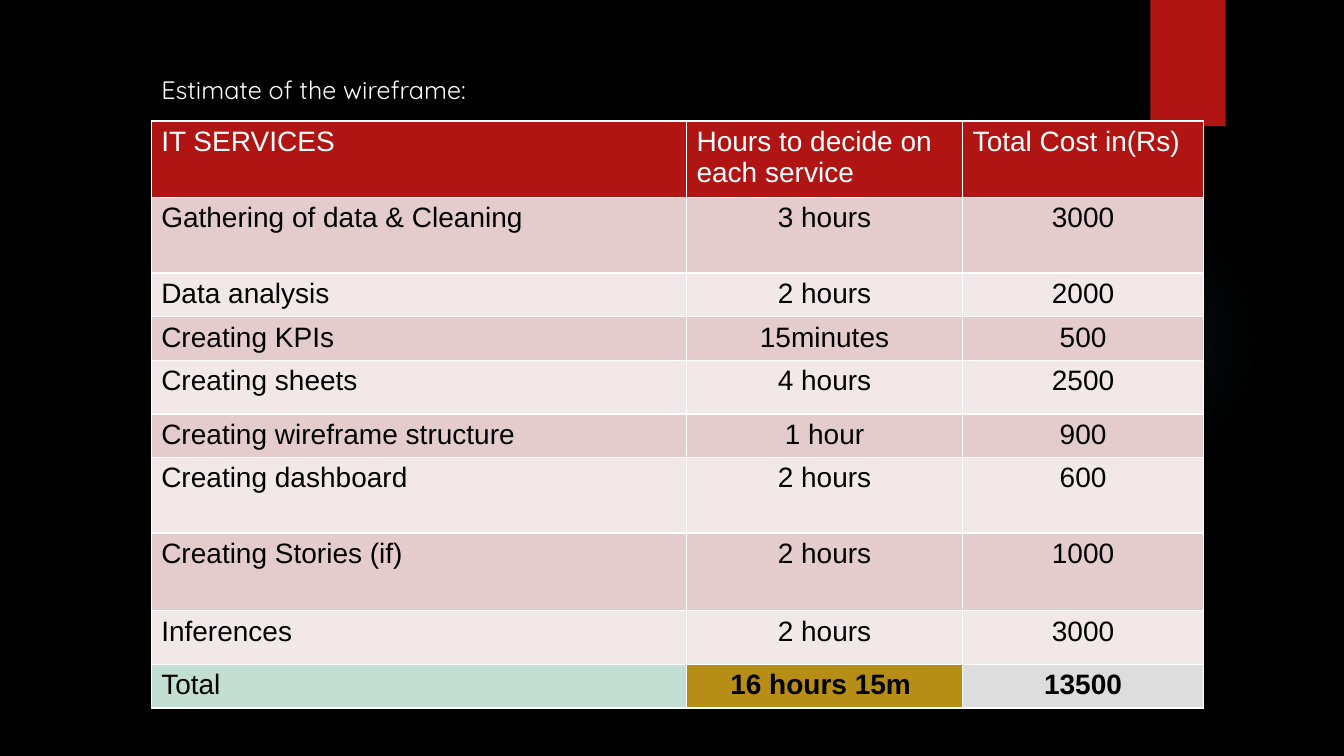
from dataclasses import dataclass

from lxml import etree
from pptx import Presentation
from pptx.dml.color import RGBColor
from pptx.enum.shapes import MSO_SHAPE
from pptx.enum.text import MSO_ANCHOR, MSO_AUTO_SIZE, PP_ALIGN
from pptx.oxml import parse_xml
from pptx.oxml.ns import nsdecls, qn
from pptx.util import Cm, Pt

RECT, OVAL = MSO_SHAPE.RECTANGLE, MSO_SHAPE.OVAL
LEFT, CENTER = PP_ALIGN.LEFT, PP_ALIGN.CENTER
TOP, FIXED = MSO_ANCHOR.TOP, MSO_AUTO_SIZE.NONE


@dataclass(frozen=True)
class Theme:
    back: str = "000000"
    light: str = "FFFFFF"
    dark: str = "000000"
    red: str = "B01513"
    glow: str = "50B9C1"
    bands: tuple = ("E4CCCC", "F2E8E7")
    total: tuple = ("C3DED3", "B68E15", "DDDDDD")
    title_font: str = "Quicksand"
    body_font: str = "Arial"
    title_size: int = 18
    body_size: int = 20


THEME = Theme()

# Column widths and row heights in cm
WIDTHS = (13.49, 6.96, 6.07)
HEIGHTS = (1.92, 1.91, 1.1, 1.1, 1.35, 1.1, 1.9, 1.96, 1.35, 1.1)
ROWS = (
    ("IT SERVICES", "Hours to decide on each service", "Total Cost in(Rs)"),
    ("Gathering of data & Cleaning", "3 hours", "3000"),
    ("Data analysis", "2 hours", "2000"),
    ("Creating KPIs", "15minutes", "500"),
    ("Creating sheets", "4 hours", "2500"),
    ("Creating wireframe structure", "1 hour", "900"),
    ("Creating dashboard", "2 hours", "600"),
    ("Creating Stories (if)", "2 hours", "1000"),
    ("Inferences", "2 hours", "3000"),
    ("Total", "16 hours 15m ", "13500"),
)


def paint(fill, color):
    fill.solid()
    fill.fore_color.rgb = RGBColor.from_string(color)


def style(para, font, size, color, bold=False, align=LEFT):
    para.alignment = align
    para.font.name = font
    para.font.size = Pt(size)
    para.font.bold = bold
    para.font.color.rgb = RGBColor.from_string(color)


def add_plain(slide, kind, box):
    shape = slide.shapes.add_shape(kind, *map(Cm, box))
    shape.shadow.inherit = False
    shape.line.fill.background()
    return shape


def add_glow(slide, box):
    shape = add_plain(slide, OVAL, box)
    shape.fill.background()
    stops = "".join(
        f'<a:gs pos="{pos * 1000}"><a:srgbClr val="{THEME.glow}">'
        f'<a:alpha val="{alpha * 1000}"/></a:srgbClr></a:gs>'
        for pos, alpha in ((0, 7), (36, 6), (69, 0), (100, 0)))
    grad = parse_xml(
        f'<a:gradFill {nsdecls("a")}><a:gsLst>{stops}</a:gsLst>'
        '<a:path path="circle"><a:fillToRect l="50000" t="50000" '
        'r="50000" b="50000"/></a:path></a:gradFill>')
    props = shape.element.spPr
    props.replace(props.find(qn("a:noFill")), grad)


def add_tab(slide, box):
    paint(add_plain(slide, RECT, box).fill, THEME.red)


def add_title(slide, box, text):
    title = slide.shapes.title
    title.left, title.top, title.width, title.height = map(Cm, box)
    frame = title.text_frame
    frame.text = text
    frame.word_wrap = True
    frame.auto_size = FIXED
    frame.vertical_anchor = TOP
    style(frame.paragraphs[0], THEME.title_font, THEME.title_size, THEME.light)


def add_edges(cell):
    props = cell._tc.get_or_add_tcPr()
    for spot, side in enumerate(("lnL", "lnR", "lnT", "lnB")):
        edge = etree.Element(qn(f"a:{side}"), w=str(Pt(1)))
        fill = etree.SubElement(edge, qn("a:solidFill"))
        etree.SubElement(fill, qn("a:srgbClr"), val=THEME.light)
        props.insert(spot, edge)


def cell_fill(row, col):
    if row == 0:
        return THEME.red
    if row == len(ROWS) - 1:
        return THEME.total[col]
    return THEME.bands[(row - 1) % 2]


def add_costs(slide, left, top):
    frame = slide.shapes.add_table(
        len(ROWS), len(WIDTHS), Cm(left), Cm(top),
        Cm(sum(WIDTHS)), Cm(sum(HEIGHTS)))
    table = frame.table
    table.first_row = table.horz_banding = False
    for col, width in zip(table.columns, WIDTHS):
        col.width = Cm(width)
    for row, height in zip(table.rows, HEIGHTS):
        row.height = Cm(height)
    for r, texts in enumerate(ROWS):
        for c, text in enumerate(texts):
            cell = table.cell(r, c)
            cell.text = text
            paint(cell.fill, cell_fill(r, c))
            add_edges(cell)
            style(cell.text_frame.paragraphs[0],
                  THEME.body_font, THEME.body_size,
                  THEME.dark if r else THEME.light,
                  bold=r == len(ROWS) - 1 and c > 0,
                  align=CENTER if r and c else LEFT)


def main():
    deck = Presentation()
    deck.slide_width, deck.slide_height = Cm(33.87), Cm(19.05)
    slide = deck.slides.add_slide(deck.slide_layouts[5])
    paint(slide.background.fill, THEME.back)

    # Backdrop
    add_glow(slide, (23.9, 4.65, 7.82, 7.82))
    add_tab(slide, (28.99, 0, 1.9, 3.18))

    # Heading and estimate
    add_title(slide, (3.81, 1.75, 16.92, 1.8), "Estimate of the wireframe:")
    add_costs(slide, 3.81, 3.05)

    deck.save("out.pptx")


if __name__ == "__main__":
    main()
